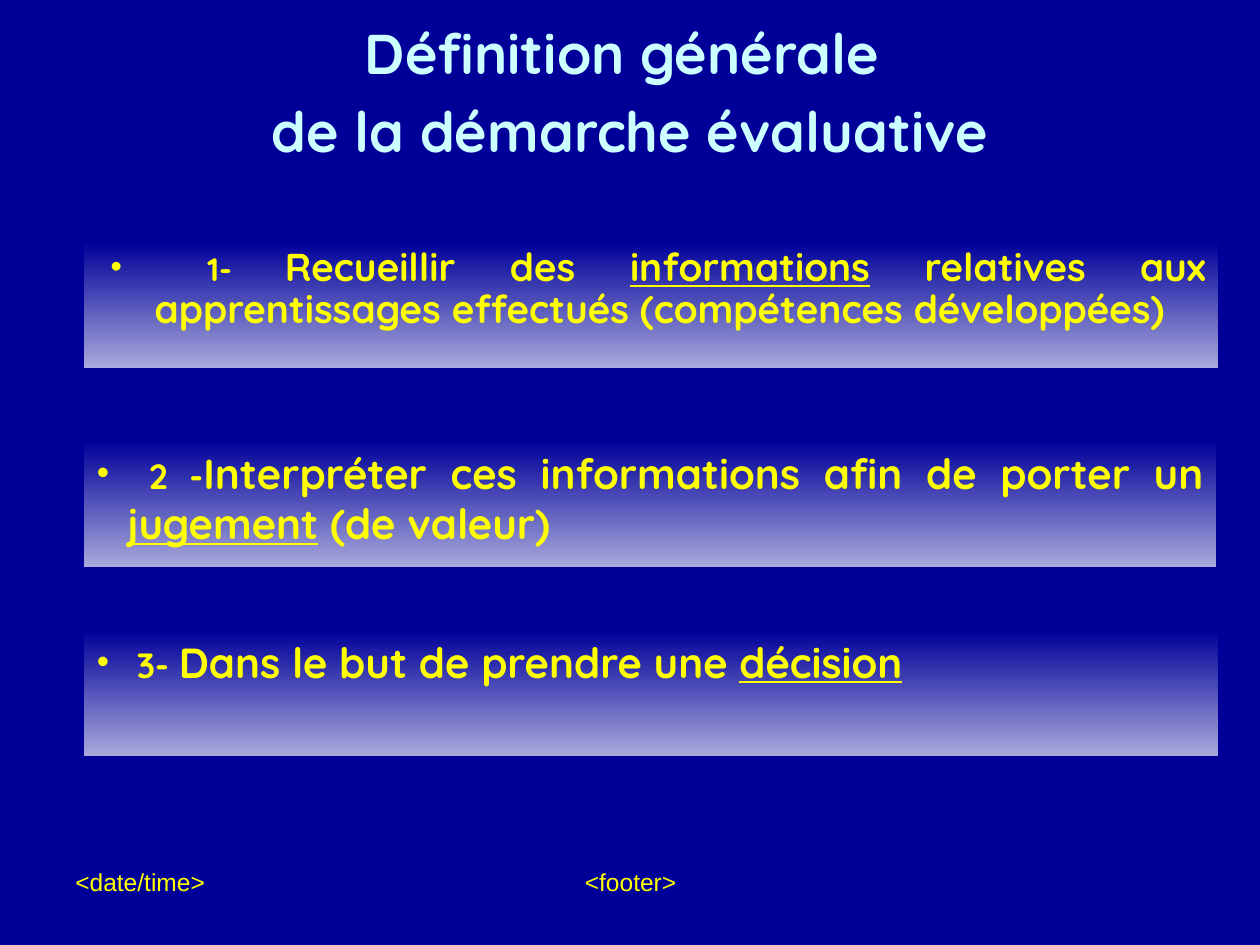
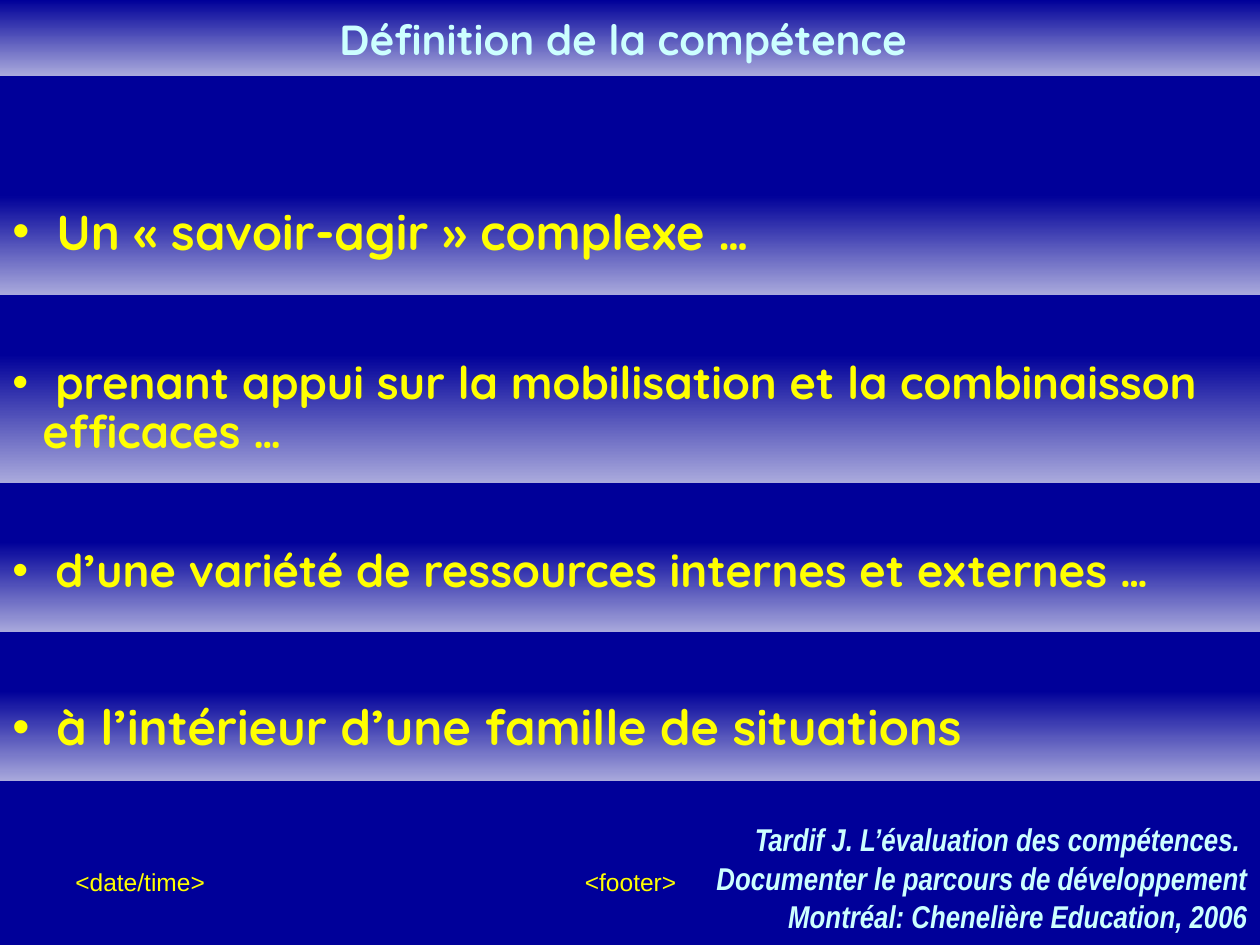
from dataclasses import dataclass
from typing import Optional

import pptx
import pptx.dml.color
import pptx.enum.shapes
import pptx.enum.text
import pptx.oxml.ns
import pptx.util
from lxml import etree
from pptx.util import Inches

Align = pptx.enum.text.PP_ALIGN
Anchor = pptx.enum.text.MSO_ANCHOR


@dataclass(frozen=True)
class Theme:
    background: str = "000099"
    band_end: str = "A9A9DC"
    title: str = "CCFFFF"
    body: str = "FFFF00"
    heading_font: str = "Quicksand"
    footer_font: str = "Arial"
    citation_font: str = "Arial Narrow"
    large_title_size: float = 32
    band_title_size: float = 24
    band_title_end_size: float = 28
    footer_size: float = 14
    citation_size: float = 18


THEME = Theme()


@dataclass(frozen=True)
class Box:
    left: float
    top: float
    width: float
    height: float


@dataclass(frozen=True)
class Run:
    text: str
    size: float
    underline: bool = False
    color: str = THEME.body
    font: str = THEME.heading_font
    bold: bool = True
    italic: bool = False


@dataclass(frozen=True)
class Paragraph:
    runs: tuple[Run, ...]
    align: Align = Align.LEFT
    line_spacing: float = 1.0
    space_before: float = 0
    hang: Optional[tuple[float, float]] = None


@dataclass(frozen=True)
class Band:
    box: Box
    paragraph: Paragraph


@dataclass(frozen=True)
class Footer:
    box: Box
    text: str
    align: Align


FOOTERS = (
    Footer(Box(3.42, 6.83, 3.17, 0.52), "<footer>", Align.CENTER),
    Footer(Box(0.5, 6.83, 2.33, 0.52), "<date/time>", Align.LEFT),
)
NARROW_HANG = (0.24, -0.24)
WIDE_HANG = (0.46, -0.35)


def rgb(value: str) -> pptx.dml.color.RGBColor:
    return pptx.dml.color.RGBColor.from_string(value)


def add_bullet(paragraph, hang: tuple[float, float]) -> None:
    properties = paragraph._p.get_or_add_pPr()
    margin, indent = hang
    properties.set("marL", str(Inches(margin)))
    properties.set("indent", str(Inches(indent)))
    qualify = pptx.oxml.ns.qn
    color = etree.SubElement(properties, qualify("a:buClr"))
    etree.SubElement(color, qualify("a:srgbClr"), val=THEME.body)
    etree.SubElement(properties, qualify("a:buFont"), typeface=THEME.footer_font)
    etree.SubElement(properties, qualify("a:buChar"), char="•")


def write_text(shape, paragraphs: tuple[Paragraph, ...], anchor: Anchor = Anchor.TOP) -> None:
    frame = shape.text_frame
    frame.word_wrap = True
    frame.auto_size = pptx.enum.text.MSO_AUTO_SIZE.NONE
    frame.vertical_anchor = anchor
    frame.margin_left = frame.margin_right = Inches(0.1)
    frame.margin_top = frame.margin_bottom = Inches(0.05)
    for index, content in enumerate(paragraphs):
        paragraph = frame.add_paragraph() if index else frame.paragraphs[0]
        if content.hang:
            add_bullet(paragraph, content.hang)
        paragraph.alignment = content.align
        paragraph.line_spacing = content.line_spacing
        paragraph.space_before = pptx.util.Pt(content.space_before if index else 0)
        for piece in content.runs:
            run = paragraph.add_run()
            run.text = piece.text
            run.font.name = piece.font
            run.font.size = pptx.util.Pt(piece.size)
            run.font.bold = piece.bold
            run.font.italic = piece.italic
            run.font.underline = piece.underline
            run.font.color.rgb = rgb(piece.color)


def inches(box: Box) -> tuple:
    return Inches(box.left), Inches(box.top), Inches(box.width), Inches(box.height)


def fill_gradient(shape) -> None:
    shape.fill.gradient()
    shape.fill.gradient_angle = 270
    stops = zip(shape.fill.gradient_stops, (THEME.background, THEME.band_end))
    for position, (stop, color) in enumerate(stops):
        stop.position = position
        stop.color.rgb = rgb(color)


def add_text(slide, box: Box, paragraphs: tuple[Paragraph, ...]) -> None:
    write_text(slide.shapes.add_textbox(*inches(box)), paragraphs)


def add_band(slide, band: Band) -> None:
    rectangle = pptx.enum.shapes.MSO_SHAPE.RECTANGLE
    shape = slide.shapes.add_shape(rectangle, *inches(band.box))
    shape.shadow.inherit = False
    shape.line.fill.background()
    fill_gradient(shape)
    write_text(shape, (band.paragraph,))


def place_title(slide, box: Box, paragraphs: tuple[Paragraph, ...], anchor: Anchor):
    title = slide.shapes.title
    title.left, title.top, title.width, title.height = inches(box)
    write_text(title, paragraphs, anchor)
    return title


def add_slide(presentation):
    slide = presentation.slides.add_slide(presentation.slide_layouts.get_by_name("Title Only"))
    for footer in FOOTERS:
        run = Run(footer.text, THEME.footer_size, font=THEME.footer_font, bold=False)
        add_text(slide, footer.box, (Paragraph((run,), footer.align),))
    return slide


def title_run(text: str, size: float) -> Run:
    return Run(text, size, color=THEME.title)


def build_evaluation_slide(presentation) -> None:
    slide = add_slide(presentation)
    lines = ("Définition générale ", "de la démarche évaluative")
    title = place_title(
        slide,
        Box(0.75, 0, 8.5, 1.58),
        tuple(
            Paragraph((title_run(line, THEME.large_title_size),), Align.CENTER, space_before=6.3)
            for line in lines
        ),
        Anchor.MIDDLE,
    )
    title.text_frame.margin_bottom = Inches(0.18)
    steps = (
        Band(Box(0.67, 1.92, 9, 1), Paragraph((
            Run(" 1- ", 18.5),
            Run("Recueillir des ", 22.2),
            Run("informations", 22.2, underline=True),
            Run(" relatives aux apprentissages effectués (compétences développées)", 22.2),
        ), Align.JUSTIFY, 0.9, hang=WIDE_HANG)),
        Band(Box(0.67, 3.5, 8.98, 1), Paragraph((
            Run(" 2 -", 20),
            Run("Interpréter ces informations afin de porter un ", 24),
            Run("jugement", 24, underline=True),
            Run(" (de valeur)", 24),
        ), Align.JUSTIFY, hang=NARROW_HANG)),
        Band(Box(0.67, 5, 9, 1), Paragraph((
            Run(" 3- ", 20),
            Run("Dans le but de prendre une ", 24),
            Run("décision", 24, underline=True),
        ), Align.JUSTIFY, hang=NARROW_HANG)),
    )
    for step in steps:
        add_band(slide, step)


def definition_band(top: float, height: float, text: str, size: float, spacing: float) -> Band:
    paragraph = Paragraph((Run(text, size),), line_spacing=spacing, hang=NARROW_HANG)
    return Band(Box(0, top, 10, height), paragraph)


def build_competence_slide(presentation) -> None:
    slide = add_slide(presentation)
    title_runs = (
        title_run("Définition de la compétence", THEME.band_title_size),
        title_run(" ", THEME.band_title_end_size),
    )
    title = place_title(
        slide, Box(0, 0, 10, 0.6), (Paragraph(title_runs, Align.CENTER),), Anchor.TOP
    )
    fill_gradient(title)
    definitions = (
        definition_band(1.55, 0.79, " Un «\u00a0savoir-agir\u00a0» complexe …".replace("\u00a0", " "), 28, 1),
        definition_band(
            2.81, 1.02,
            " prenant appui sur la mobilisation et la combinaisson efficaces …", 25.9, 0.9,
        ),
        definition_band(
            4.3, 0.72, " d’une variété de ressources internes et externes …", 25.9, 0.9
        ),
        definition_band(5.48, 0.72, " à l’intérieur d’une famille de situations", 28, 1),
    )
    for definition in definitions:
        add_band(slide, definition)
    citation = (
        "Tardif J. L’évaluation des compétences. ",
        "Documenter le parcours de développement",
        "Montréal: Chenelière Education, 2006",
    )
    add_text(slide, Box(3.09, 6.59, 6.91, 0.87), tuple(
        Paragraph(
            (Run(line, THEME.citation_size, color=THEME.title,
                 font=THEME.citation_font, italic=True),),
            Align.RIGHT, 0.5, 11.2,
        )
        for line in citation
    ))


def main() -> None:
    presentation = pptx.Presentation()
    presentation.slide_width = Inches(10)
    presentation.slide_height = Inches(7.5)
    background = presentation.slide_master.background.fill
    background.solid()
    background.fore_color.rgb = rgb(THEME.background)
    build_evaluation_slide(presentation)
    build_competence_slide(presentation)
    presentation.save("out.pptx")


if __name__ == "__main__":
    main()
